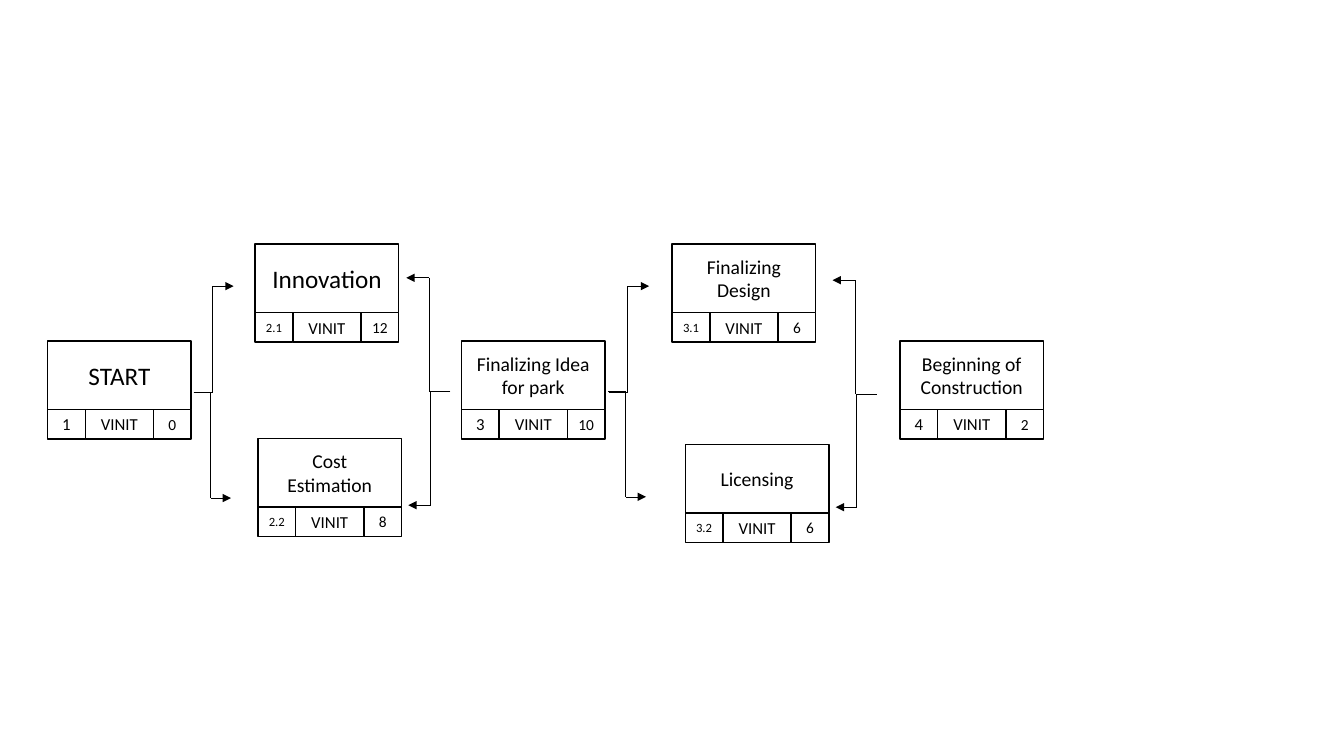
from itertools import pairwise
from lxml.etree import SubElement
from pptx import Presentation
from pptx.dml.color import RGBColor as RGB
from pptx.enum.shapes import MSO_CONNECTOR as CONN, MSO_SHAPE as SHAPE
from pptx.enum.text import MSO_ANCHOR as ANCHOR, PP_ALIGN as ALIGN
from pptx.oxml.ns import qn
from pptx.util import Cm, Pt

COLORS = {"fill": "FFFFFF", "ink": "000000"}
SIDE_W, OWNER_W = 0.95, 1.72
TASK_W = 2 * SIDE_W + OWNER_W
TASK_H, FOOT_H = 1.73, 0.74


def add_box(group, x, y, w, h, text, size, inset):
    sp = group.shapes.add_shape(SHAPE.RECTANGLE, Cm(x), Cm(y), Cm(w), Cm(h))
    sp.shadow.inherit = False
    sp.fill.solid()
    sp.fill.fore_color.rgb = RGB.from_string(COLORS["fill"])
    sp.line.color.rgb = RGB.from_string(COLORS["ink"])
    sp.line.width = Pt(1)
    tf = sp.text_frame
    tf.word_wrap = True
    tf.vertical_anchor = ANCHOR.MIDDLE
    tf.margin_left = tf.margin_right = Cm(inset)
    tf.margin_top = tf.margin_bottom = 0
    p = tf.paragraphs[0]
    p.text = text
    p.alignment = ALIGN.CENTER
    p.font.name = "Calibri"
    p.font.size = Pt(size)
    p.font.color.rgb = RGB.from_string(COLORS["ink"])


def add_line(group, start, end):
    line = group.shapes.add_connector(CONN.STRAIGHT, *map(Cm, start + end))
    line.line.color.rgb = RGB.from_string(COLORS["ink"])
    line.line.width = Pt(0.5)
    SubElement(line._element.spPr, qn("a:effectLst"))
    return line


prs = Presentation()
prs.slide_width, prs.slide_height = Cm(33.87), Cm(19.05)
s = prs.slides.add_slide(prs.slide_layouts[6])

tasks = [
    (1.2, 8.59, "START", 18, "1", 12, "0"),
    (6.43, 6.15, "Innovation", 18, "2.1", 9, "12"),
    (6.5, 11.05, "Cost Estimation", 14, "2.2", 9, "8"),
    (11.63, 8.59, "Finalizing Idea for park", 14, "3", 12, "10"),
    (16.94, 6.15, "Finalizing Design", 14, "3.1", 9, "6"),
    (17.27, 11.2, "Licensing", 14, "3.2", 9, "6"),
    (22.68, 8.59, "Beginning of Construction", 14, "4", 12, "2"),
]
for x, y, name, name_size, number, number_size, duration in tasks:
    group = s.shapes.add_group_shape()
    foot_y = y + TASK_H
    add_box(group, x, foot_y, SIDE_W, FOOT_H, number, number_size, 0)
    add_box(group, x + SIDE_W + OWNER_W, foot_y, SIDE_W, FOOT_H, duration, 11, 0)
    add_box(group, x + SIDE_W, foot_y, OWNER_W, FOOT_H, "VINIT", 12, 0)
    add_box(group, x, y, TASK_W, TASK_H, name, name_size, 0.3)

branches = [
    (4.88, 5.36, 5.89, 9.88, 7.21),
    (4.88, 5.31, 5.82, 9.88, 12.55),
    (22.1, 21.56, 20.98, 9.93, 7.06),
    (22.07, 21.59, 21.06, 9.93, 12.78),
    (15.34, 15.82, 16.36, 9.88, 7.21),
    (15.32, 15.77, 16.28, 9.86, 12.52),
    (11.35, 10.82, 10.24, 9.86, 7),
    (11.33, 10.85, 10.29, 9.86, 12.73),
]
for start_x, bend_x, tip_x, start_y, tip_y in branches:
    group = s.shapes.add_group_shape()
    points = [(start_x, start_y), (bend_x, start_y), (bend_x, tip_y), (tip_x, tip_y)]
    for start, end in pairwise(points):
        line = add_line(group, start, end)
    SubElement(line.line._get_or_add_ln(), qn("a:tailEnd"), type="triangle")

prs.save("out.pptx")
